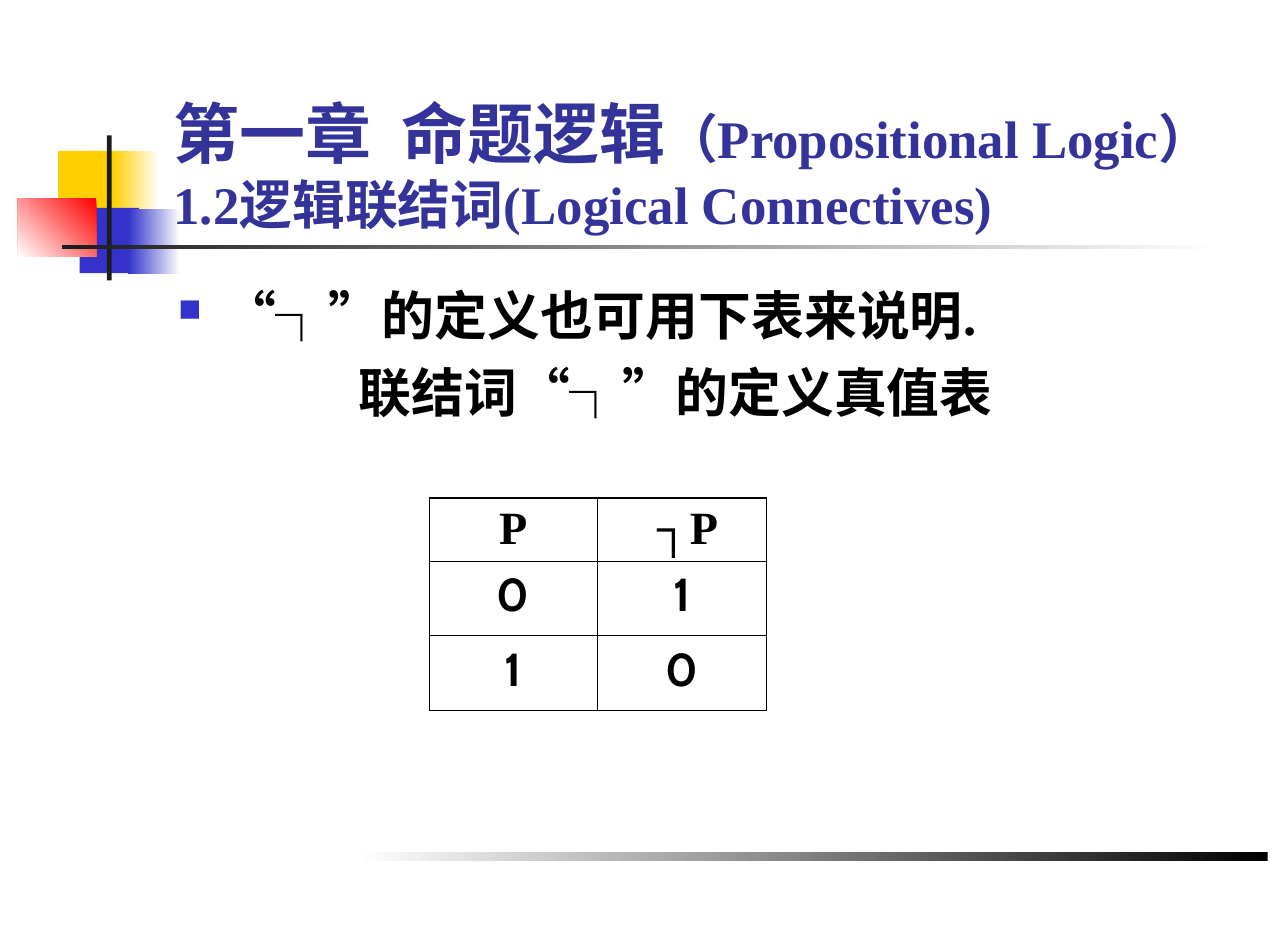
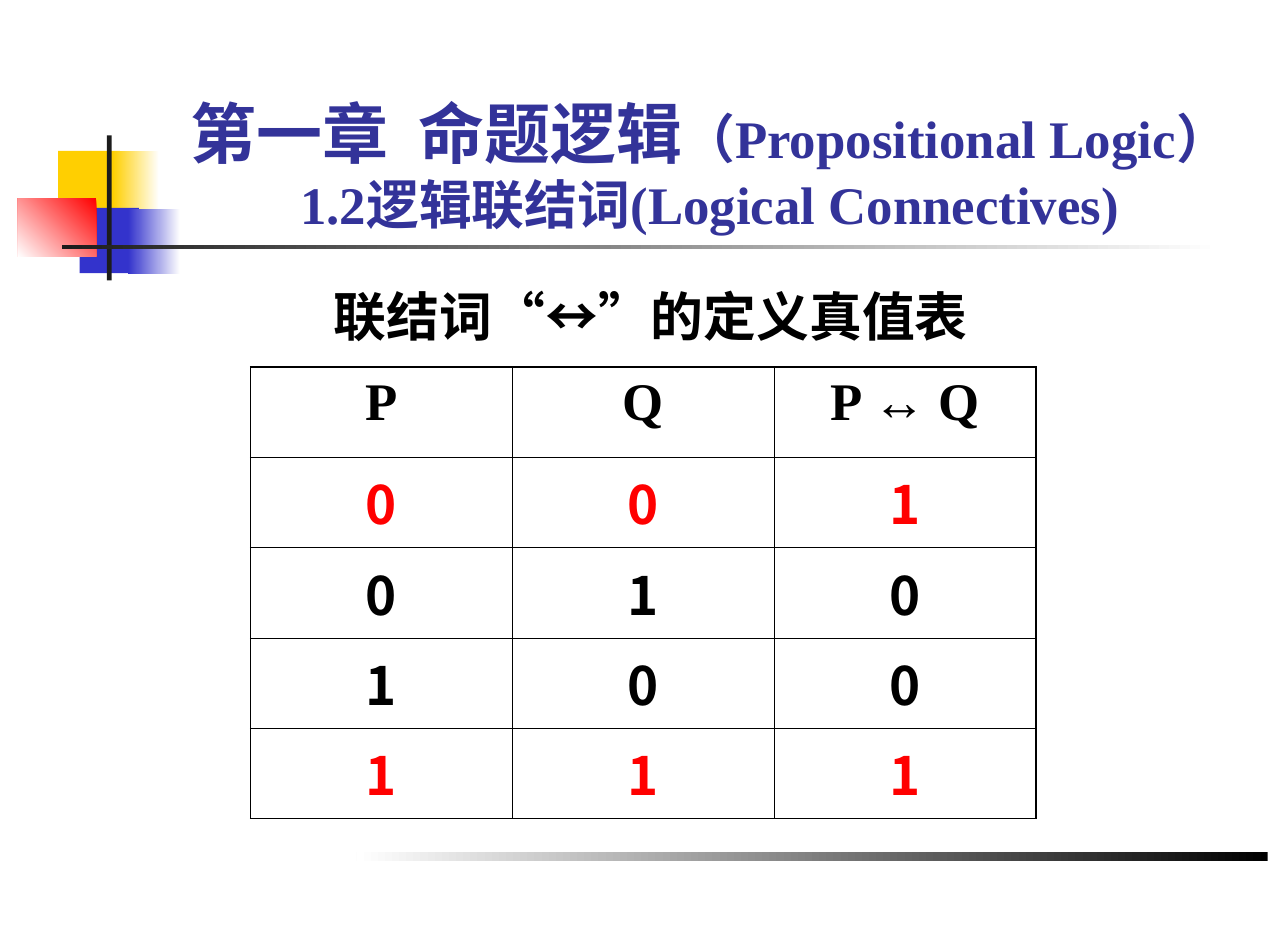
from lxml.etree import SubElement
from pptx import Presentation
from pptx.dml.color import RGBColor
from pptx.enum.shapes import MSO_SHAPE
from pptx.enum.text import MSO_ANCHOR, MSO_AUTO_SIZE, PP_ALIGN
from pptx.oxml import parse_xml
from pptx.oxml.ns import nsdecls, qn
from pptx.util import Inches, Pt

WHITE = RGBColor(0xFF, 0xFF, 0xFF)
BLACK = RGBColor(0x00, 0x00, 0x00)
CHARCOAL = RGBColor(0x1C, 0x1C, 0x1C)
YELLOW = RGBColor(0xFF, 0xCF, 0x01)
BLUE = RGBColor(0x33, 0x33, 0xCC)
RED = RGBColor(0xFF, 0x00, 0x00)
INDIGO = RGBColor(0x33, 0x33, 0x99)

SERIF = "Times New Roman"
HEADING = "Cabin"
SYMBOL = "Arial"
CJK = "Noto Sans CJK SC"
THIN, THICK = 0.45, 1.08

ORNAMENTS = (
    ((0.49, 1.27, 0.52, 0.55), (YELLOW,), 0),
    ((0.95, 1.27, 0.39, 0.55), (WHITE, YELLOW), 180),
    ((0.67, 1.75, 0.5, 0.55), (BLUE,), 0),
    ((1.08, 1.76, 0.44, 0.55), (WHITE, BLUE), 180),
    ((0.15, 1.67, 0.66, 0.49), (RED, WHITE), 225),
    ((0.9, 1.14, 0.04, 1.22), (CHARCOAL,), 0),
    ((0.52, 2.06, 9.75, 0.04), (WHITE, CHARCOAL), 180),
    ((3, 7.17, 7.67, 0.08), (BLACK, WHITE), 180),
)


def apply(target, values):
    for name, value in values.items():
        setattr(target, name, value)


class Lecture:
    frame_style = {
        "word_wrap": True, "auto_size": MSO_AUTO_SIZE.NONE,
        "margin_left": Inches(0.1), "margin_right": Inches(0.1),
        "margin_top": Inches(0.05), "margin_bottom": Inches(0.05),
    }

    def __init__(self):
        self.deck = Presentation()
        apply(self.deck, {"slide_width": Inches(10.84), "slide_height": Inches(7.92)})
        self.slide = None

    def start(self, title_align):
        self.slide = self.deck.slides.add_slide(self.deck.slide_layouts[5])
        for box, colors, angle in ORNAMENTS:
            self.ornament(box, colors, angle)
        self.title(title_align)

    def ornament(self, box, colors, angle):
        block = self.slide.shapes.add_shape(MSO_SHAPE.RECTANGLE, *map(Inches, box))
        block.shadow.inherit = False
        block.line.fill.background()
        if len(colors) == 1:
            block.fill.solid()
            block.fill.fore_color.rgb = colors[0]
        else:
            block.fill.gradient()
            block.fill.gradient_angle = angle
            for stop, color in zip(block.fill.gradient_stops, colors):
                stop.color.rgb = color

    def add_text(self, paragraph, pieces, size, color=BLACK, **layout):
        apply(paragraph, layout)
        for text, font in pieces:
            run = paragraph.add_run()
            run.text = text
            apply(run.font, {"name": font, "size": Pt(size), "bold": True})
            run.font.color.rgb = color

    def title(self, align):
        heading = self.slide.shapes.title
        self.slide.shapes._spTree.append(heading._element)
        apply(heading, dict(zip(("left", "top", "width", "height"),
                                map(Inches, (1.36, 0.71, 9.23, 1.32)))))
        apply(heading.text_frame, {**self.frame_style, "vertical_anchor": MSO_ANCHOR.BOTTOM})
        line = heading.text_frame.paragraphs[0]
        self.add_text(line, [("第一章  命题逻辑", HEADING)], 40, INDIGO, alignment=align)
        self.add_text(line, [("（Propositional Logic）", SERIF)], 32, INDIGO)
        line.add_line_break()
        self.add_text(line, [("1.2逻辑联结词(Logical Connectives)", SERIF)], 32, INDIGO)

    def body(self, box):
        frame = self.slide.shapes.add_textbox(*map(Inches, box)).text_frame
        apply(frame, self.frame_style)
        return frame

    def indent(self, paragraph, left, bullet=False):
        props = paragraph._p.get_or_add_pPr()
        props.set("marL", str(Inches(left)))
        if bullet:
            props.set("indent", str(-Inches(left)))
            color = SubElement(props, qn("a:buClr"))
            SubElement(color, qn("a:srgbClr")).set("val", str(BLUE))
            SubElement(props, qn("a:buSzPct")).set("val", "60000")
            SubElement(props, qn("a:buChar")).set("char", "■")

    def border(self, cell, widths):
        props = cell._tc.get_or_add_tcPr()
        for place, (side, width) in enumerate(zip("LRTB", widths)):
            props.insert(place, parse_xml(
                f'<a:ln{side} {nsdecls("a")} w="{Pt(width)}"><a:solidFill>'
                f'<a:srgbClr val="{BLACK}"/></a:solidFill></a:ln{side}>'))

    def truth_table(self, box, heights, size, header, rows, digit_font, side, before):
        last_row, last_column = len(rows), len(header) - 1
        table = self.slide.shapes.add_table(
            last_row + 1, last_column + 1, *map(Inches, box)).table
        apply(table, {"first_row": False, "horz_banding": False})
        for row, height in zip(table.rows, heights):
            row.height = Inches(height)
        lines = [(header, BLACK)]
        lines += [([[(digit, digit_font)] for digit in digits], color)
                  for digits, color in rows]
        for r, (cells, color) in enumerate(lines):
            for c, pieces in enumerate(cells):
                cell = table.cell(r, c)
                cell.fill.background()
                self.add_text(cell.text_frame.paragraphs[0], pieces, size, color,
                              alignment=PP_ALIGN.CENTER, space_before=Pt(before))
                self.border(cell, (side if c == 0 else THIN,
                                   side if c == last_column else THIN,
                                   THICK if r == 0 else THIN,
                                   THICK if r == last_row else THIN))


def negation(lecture):
    lecture.start(PP_ALIGN.LEFT)
    frame = lecture.body((1.4, 2.33, 9.21, 4.75))
    definition, caption = frame.paragraphs[0], frame.add_paragraph()
    lecture.add_text(definition, [("“┐”的定义也可用下表来说明.", SERIF)], 32,
                     space_before=Pt(8))
    lecture.indent(definition, 0.38, bullet=True)
    lecture.add_text(caption, [("联结词“┐”的定义真值表", SERIF)], 32, space_before=Pt(8))
    lecture.indent(caption, 1.52)
    lecture.truth_table((3.61, 4.19, 2.84, 1.79), (0.53, 0.63, 0.63), 28,
                        [[("P", SERIF)], [(" ┐P", SERIF)]],
                        [("01", BLACK), ("10", BLACK)], HEADING, THIN, 7)


def biconditional(lecture):
    lecture.start(PP_ALIGN.CENTER)
    caption = lecture.body((0.69, 2.07, 9.45, 1.18)).paragraphs[0]
    lecture.add_text(caption, [("联结词“", SERIF), ("↔", SYMBOL), ("”的定义真值表", SERIF)],
                     32, line_spacing=1.5)
    lecture.indent(caption, 2.02)
    lecture.truth_table((2.11, 3.09, 6.61, 3.8), [0.76] * 5, 32,
                        [[("P", SERIF)], [("Q", SERIF)],
                         [("P ", SERIF), ("↔", SYMBOL), (" Q", SERIF)]],
                        [("001", RED), ("010", BLACK), ("100", BLACK), ("111", RED)],
                        CJK, THICK, 8)


def main():
    lecture = Lecture()
    negation(lecture)
    biconditional(lecture)
    lecture.deck.save("out.pptx")


if __name__ == "__main__":
    main()
